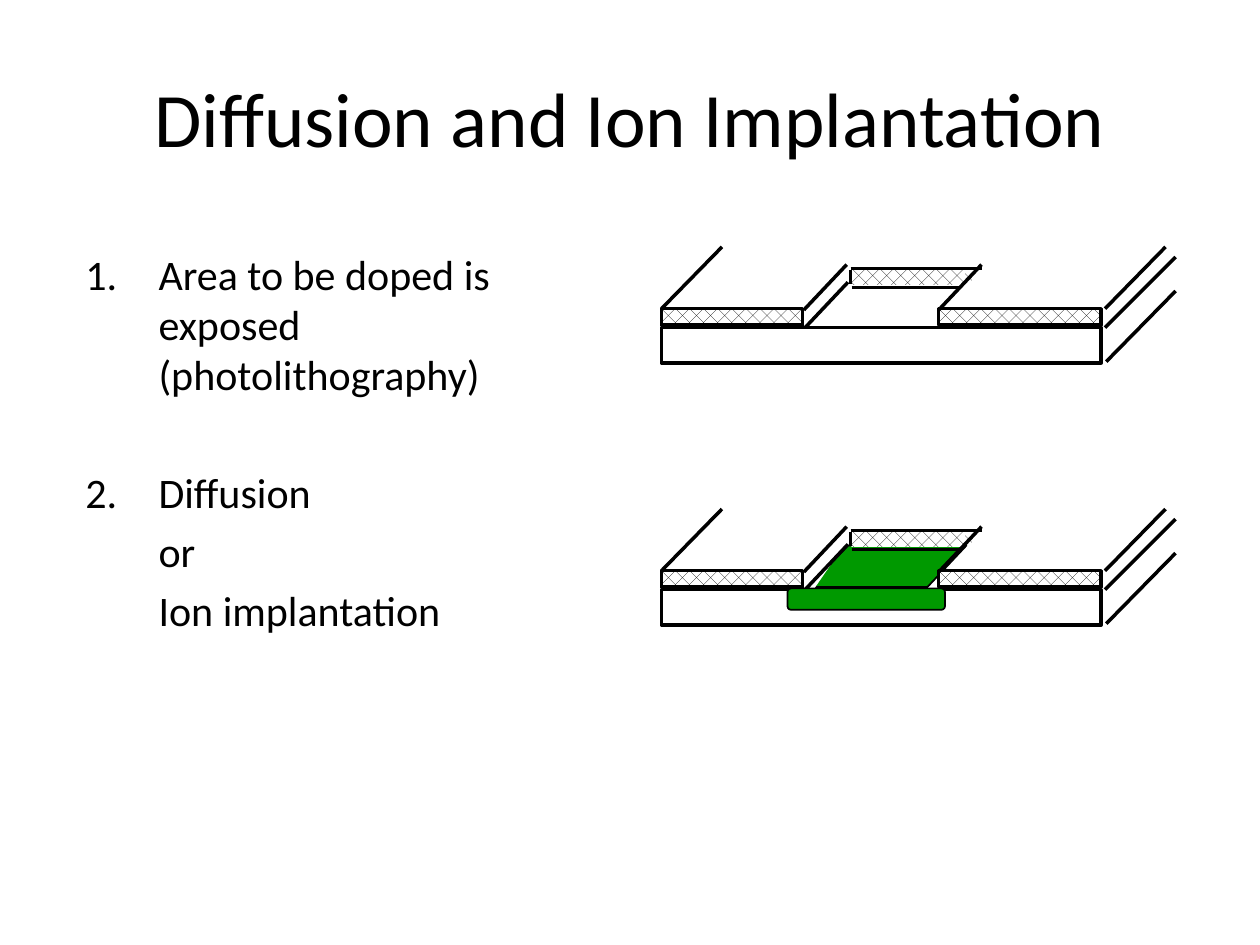
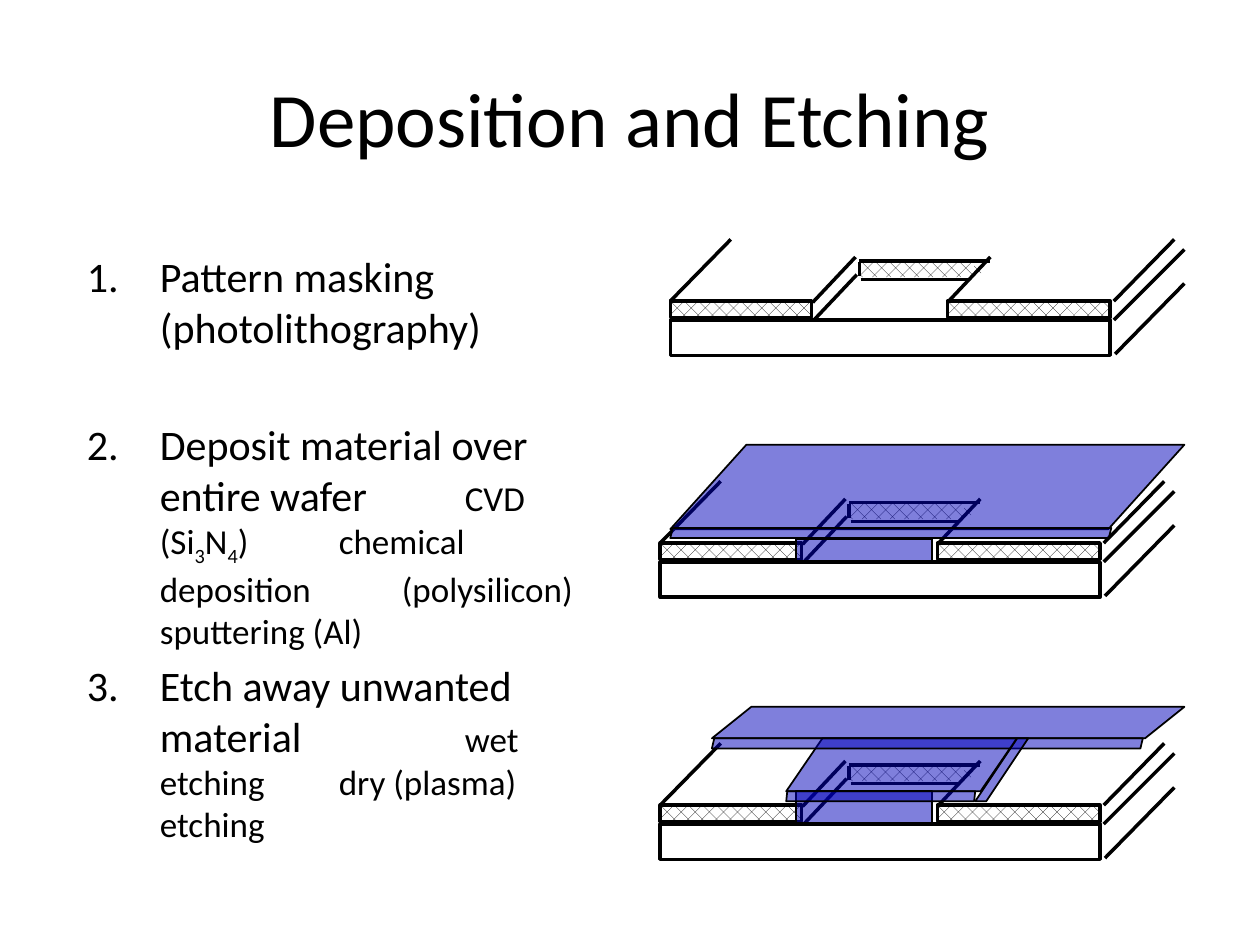
from lxml import etree
from pptx import Presentation
from pptx.dml.color import RGBColor
from pptx.enum.dml import MSO_PATTERN
from pptx.enum.shapes import MSO_CONNECTOR, MSO_SHAPE
from pptx.enum.text import MSO_ANCHOR, PP_ALIGN
from pptx.oxml.ns import qn
from pptx.util import Inches, Pt

BLACK = RGBColor(0x00, 0x00, 0x00)
WHITE = RGBColor(0xFF, 0xFF, 0xFF)
DOPED_GREEN = RGBColor(0x00, 0x99, 0x00)
FILM_BLUE = RGBColor(0x00, 0x00, 0xBA)
FONT = "Calibri"
STRAIGHT = MSO_CONNECTOR.STRAIGHT
RECTANGLE = MSO_SHAPE.RECTANGLE
ROUNDED = MSO_SHAPE.ROUNDED_RECTANGLE
SLANTED = MSO_SHAPE.PARALLELOGRAM
MASK_PATTERN = MSO_PATTERN.PERCENT_25
CENTER = PP_ALIGN.CENTER
MIDDLE = MSO_ANCHOR.MIDDLE
TOP = MSO_ANCHOR.TOP

TITLE_SIZE, ITEM_SIZE, DETAIL_SIZE = 44, 24, 20
ITEM_GAP, STEP_GAP = 4.8, 38.4
NUMBER_INDENT = Inches(0.58)

# Wafer drawing: inches from the top left corner of the substrate's front
GAP_MASKS = [(1.17, -0.02, 1.48, -0.47), (3.55, -0.04, 4.06, -0.68)]
BACK_MASK = [(2.41, -0.48, 0.06, 0.11), (1.5, -0.46, 0.91, 0.12)]
FRONT_MASK = [(2.2, -0.15, 1.29, 0.13), (0, -0.15, 1.12, 0.13)]
SUBSTRATE = (0, 0, 3.49, 0.28)
DEPTH_EDGES = [(3.53, 0.27, 4.08, -0.29), (0, -0.15, 0.48, -0.64),
               (3.52, -0.15, 4, -0.64), (3.52, 0, 4.08, -0.56)]
WINDOW_EDGES = [(1.13, -0.14, 1.47, -0.5), (2.2, -0.14, 2.54, -0.5),
                (1.14, 0, 1.48, -0.36), (1.51, -0.32, 2.36, -0.32),
                (1.5, -0.46, 1.5, -0.35), (1.5, -0.47, 2.54, -0.47)]


# Drawing helpers
def add_line(shapes, origin, ends, color=BLACK, width=2):
    left, top = origin
    x1, y1, x2, y2 = ends
    line = shapes.add_connector(STRAIGHT, Inches(left + x1), Inches(top + y1),
                                Inches(left + x2), Inches(top + y2))
    line.line.color.rgb = color
    line.line.width = Pt(width)
    etree.SubElement(line._element.spPr, qn("a:effectLst"))


def add_block(shapes, kind, box, origin=(0, 0), fill=None, opacity=100,
              line_width=1, adjust=None):
    left, top, width, height = box
    block = shapes.add_shape(kind, Inches(origin[0] + left), Inches(origin[1] + top),
                             Inches(width), Inches(height))
    block.shadow.inherit = False
    if adjust is not None:
        block.adjustments[0] = adjust
    if fill is None:
        block.fill.background()
    else:
        block.fill.solid()
        block.fill.fore_color.rgb = fill
    if opacity < 100:
        color = block._element.spPr.find(qn("a:solidFill"))[0]
        etree.SubElement(color, qn("a:alpha"), val=str(opacity * 1000))
    if line_width:
        block.line.color.rgb = BLACK
        block.line.width = Pt(line_width)
    else:
        block.line.fill.background()
    return block


def add_mask(shapes, kind, box, origin, line_width, adjust=None):
    mask = add_block(shapes, kind, box, origin, line_width=line_width, adjust=adjust)
    mask.fill.patterned()
    mask.fill.pattern = MASK_PATTERN
    mask.fill.fore_color.rgb = BLACK
    mask.fill.back_color.rgb = WHITE


def add_wafer(slide, left, top):
    """Substrate with a patterned mask that leaves a window open."""
    origin = (left, top)
    shapes = slide.shapes.add_group_shape().shapes
    for ends in GAP_MASKS:
        add_line(shapes, origin, ends, WHITE, 6)
    for box in BACK_MASK:
        add_mask(shapes, ROUNDED, box, origin, 0, 0.125)
    add_block(shapes, RECTANGLE, SUBSTRATE, origin, line_width=2)
    for ends in DEPTH_EDGES:
        add_line(shapes, origin, ends)
    for box in FRONT_MASK:
        add_mask(shapes, RECTANGLE, box, origin, 2)
    for ends in WINDOW_EDGES:
        add_line(shapes, origin, ends)


def add_film(slide, parts):
    """Translucent deposited layer, made of (box, slant) parts."""
    for box, slant in parts:
        kind = RECTANGLE if slant is None else SLANTED
        add_block(slide.shapes, kind, box, fill=FILM_BLUE, opacity=50, adjust=slant)


# Text helpers
def add_titled_slide(deck, text):
    slide = deck.slides.add_slide(deck.slide_layouts[5])
    title = slide.shapes.title
    title.left, title.top = Inches(0.5), Inches(0.3)
    title.width, title.height = Inches(9), Inches(1.25)
    title.text_frame.text = text
    title.text_frame.vertical_anchor = MIDDLE
    para = title.text_frame.paragraphs[0]
    para.alignment = CENTER
    set_font(para.font, TITLE_SIZE)
    return slide


def set_font(font, size):
    font.name = FONT
    font.size = Pt(size)
    font.color.rgb = BLACK


def add_steps(slide, box, steps):
    """Each step is (numbered, points before, [(text, size, subscript), ...])."""
    frame = slide.shapes.add_textbox(*map(Inches, box)).text_frame
    frame.word_wrap = True
    frame.vertical_anchor = TOP
    for index, (numbered, gap, spans) in enumerate(steps):
        para = frame.add_paragraph() if index else frame.paragraphs[0]
        para.space_before = Pt(gap)
        set_font(para.font, ITEM_SIZE)
        properties = para._p.get_or_add_pPr()
        properties.set("marL", str(NUMBER_INDENT))
        properties.set("indent", str(-NUMBER_INDENT if numbered else 0))
        if numbered:
            bullet = etree.Element(qn("a:buAutoNum"), type="arabicPeriod")
        else:
            bullet = etree.Element(qn("a:buNone"))
        properties.find(qn("a:defRPr")).addprevious(bullet)
        for text, size, subscript in spans:
            span = para.add_run()
            span.text = text
            set_font(span.font, size)
            if subscript:
                span.font._element.set("baseline", "-25000")


def item(text):
    return (text, ITEM_SIZE, False)


def detail(text, subscript=False):
    return (text, DETAIL_SIZE, subscript)


# Slides
def build_diffusion(deck):
    slide = add_titled_slide(deck, "Diffusion and Ion Implantation")
    add_block(slide.shapes, SLANTED, (6.42, 4.33, 1.25, 0.33),
              fill=DOPED_GREEN, adjust=0.938)
    add_steps(slide, (0.58, 1.92, 4.11, 3.61), [
        (True, ITEM_GAP, [item("Area to be doped is exposed (photolithography)")]),
        (True, STEP_GAP, [item("Diffusion")]),
        (False, ITEM_GAP, [item("or")]),
        (False, ITEM_GAP, [item("Ion implantation")]),
    ])
    for top in (2.6, 4.68):
        add_wafer(slide, 5.25, top)
    add_block(slide.shapes, ROUNDED, (6.25, 4.67, 1.25, 0.17),
              fill=DOPED_GREEN, adjust=0.167)


def build_deposition(deck):
    slide = add_titled_slide(deck, "Deposition and Etching")
    add_steps(slide, (0.59, 1.94, 4.11, 5.27), [
        (True, ITEM_GAP, [item("Pattern masking (photolithography)")]),
        (True, STEP_GAP, [
            item("Deposit material over entire wafer\t"), detail("\tCVD (Si"),
            detail("3", True), detail("N"), detail("4", True),
            detail(")\t\tchemical deposition \t\t(polysilicon)\tsputtering (Al)")]),
        (True, ITEM_GAP, [
            item("Etch away unwanted material\t\t"),
            detail("\twet etching\t\tdry (plasma) etching")]),
    ])
    add_wafer(slide, 5.32, 2.54)
    # Film over the entire wafer
    add_wafer(slide, 5.24, 4.46)
    add_film(slide, [((5.32, 3.53, 4.08, 0.67), 0.901),
                     ((6.32, 4.28, 1.08, 0.17), None),
                     ((5.32, 4.19, 3.5, 0.08), 0.245)])
    # Film left after etching
    add_wafer(slide, 5.24, 6.54)
    add_film(slide, [((6.24, 5.86, 1.83, 0.42), 0.685),
                     ((6.32, 6.28, 1.08, 0.25), None),
                     ((5.65, 5.61, 3.75, 0.25), 1.25),
                     ((5.65, 5.86, 3.42, 0.08), 0.239),
                     ((6.24, 6.28, 1.5, 0.08), 0.105),
                     ((7.74, 5.86, 0.42, 0.5), 0.792)])


def main():
    deck = Presentation()
    deck.slide_width, deck.slide_height = Inches(10), Inches(7.5)
    build_diffusion(deck)
    build_deposition(deck)
    deck.save("out.pptx")


if __name__ == "__main__":
    main()
